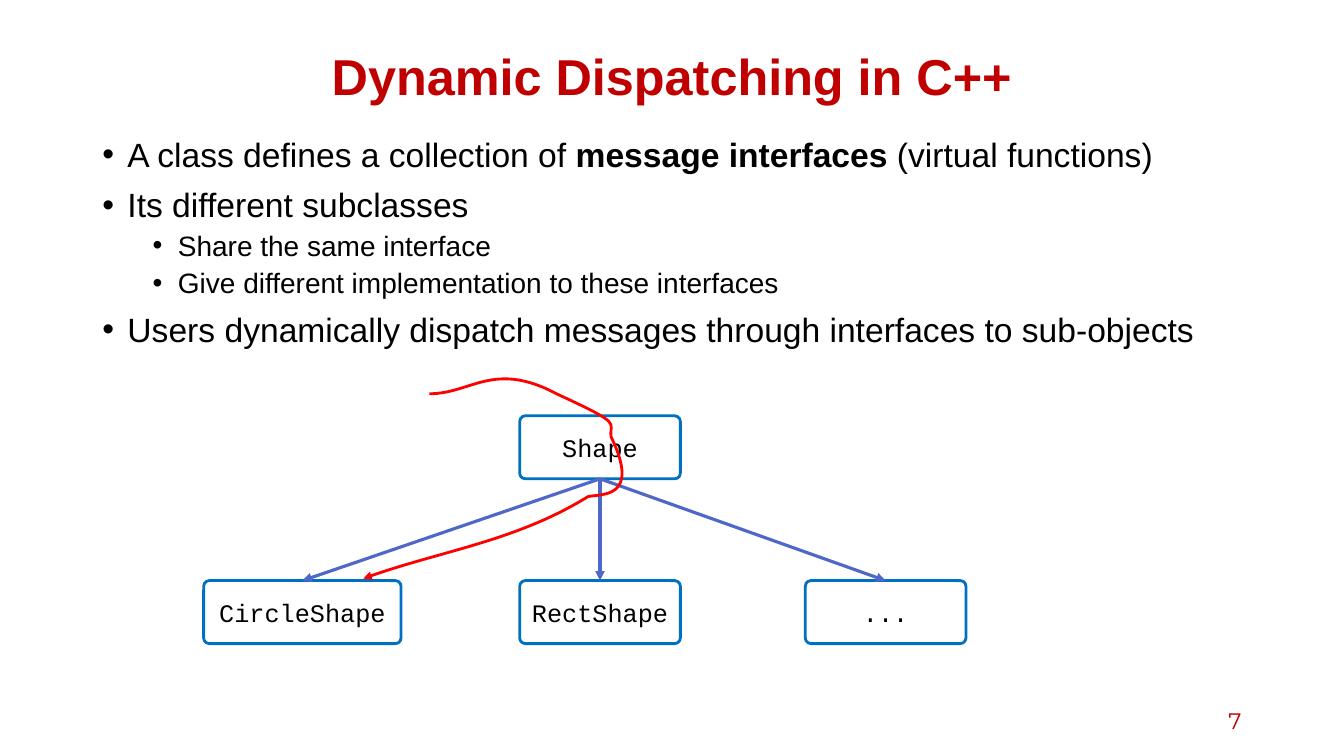
"""Build a slide on dynamic dispatching with a class hierarchy diagram."""
from dataclasses import dataclass

from lxml.etree import SubElement
from pptx import Presentation
from pptx.dml.color import RGBColor
from pptx.enum.shapes import MSO_CONNECTOR, MSO_SHAPE
from pptx.enum.text import MSO_ANCHOR, PP_ALIGN
from pptx.oxml.ns import qn
from pptx.shapes.autoshape import Shape
from pptx.shapes.connector import Connector
from pptx.slide import Slide
from pptx.text.text import Font, TextFrame, _Paragraph
from pptx.util import Emu, Pt

EMU_PER_PX = 9525
BLACK = RGBColor(0x00, 0x00, 0x00)
WHITE = RGBColor(0xFF, 0xFF, 0xFF)
DARK_RED = RGBColor(0xC0, 0x00, 0x00)
RED = RGBColor(0xFF, 0x00, 0x00)
BOX_BLUE = RGBColor(0x00, 0x70, 0xC0)
ARROW_BLUE = RGBColor(0x4E, 0x67, 0xC8)
BOX_HEIGHT = 60
BOTTOM_SITE, TOP_SITE = 2, 0

Point = tuple[int, int]


@dataclass(frozen=True)
class Label:
    """A single-line text with its place and look."""
    text: str
    left: int
    top: int
    width: int
    height: int
    font: str
    size: int
    align: PP_ALIGN
    bold: bool = False


@dataclass(frozen=True)
class Bullet:
    """A bullet made of (text, bold) phrases."""
    phrases: tuple[tuple[str, bool], ...]
    level: int = 0


@dataclass(frozen=True)
class ClassBox:
    """A class in the hierarchy."""
    name: str
    left: int
    top: int
    width: int = 153


LABELS = (
    Label("Dynamic Dispatching in C++", 88, 38, 1104, 67, "Arial", 36, PP_ALIGN.CENTER, True),
    Label("7", 904, 667, 288, 38, "Montserrat", 16, PP_ALIGN.RIGHT),
)
BULLETS = (
    Bullet((("A class defines a collection of ", False),
            ("message interfaces ", True),
            ("(virtual functions)", False))),
    Bullet((("Its different subclasses", False),)),
    Bullet((("Share the same interface", False),), 1),
    Bullet((("Give different implementation to these interfaces", False),), 1),
    Bullet((("Users dynamically dispatch messages through interfaces to sub-objects", False),)),
)
BASE_CLASS = ClassBox("Shape", 495, 396)
SUBCLASSES = (
    ClassBox("CircleShape", 194, 553, 188),
    ClassBox("RectShape", 495, 553),
    ClassBox("...", 767, 553),
)
DISPATCH_START: Point = (409, 375)
DISPATCH_CURVES: tuple[tuple[Point, Point, Point], ...] = (
    ((449, 375), (470, 343), (530, 375)),
    ((595, 405), (580, 401), (582, 416)),
    ((611, 476), (572, 470), (560, 473)),
    ((492, 515), (417, 525), (346, 551)),
)


def px(length: int) -> Emu:
    """Turn pixels into EMU."""
    return Emu(length * EMU_PER_PX)


def style_font(font: Font, name: str, size: int, color: RGBColor, bold: bool = False) -> None:
    """Set the look of a font."""
    font.name, font.size, font.bold = name, Pt(size), bold
    font.color.rgb = color


def add_text_frame(slide: Slide, left: int, top: int, width: int, height: int) -> TextFrame:
    """Add a wrapping text box and return its text frame."""
    box = slide.shapes.add_textbox(px(left), px(top), px(width), px(height))
    box.text_frame.word_wrap = True
    return box.text_frame


def add_label(slide: Slide, label: Label) -> None:
    """Add a vertically centred label."""
    frame = add_text_frame(slide, label.left, label.top, label.width, label.height)
    frame.vertical_anchor = MSO_ANCHOR.MIDDLE
    frame.text = label.text
    paragraph = frame.paragraphs[0]
    paragraph.alignment = label.align
    style_font(paragraph.runs[0].font, label.font, label.size, DARK_RED, label.bold)


def fill_bullet(paragraph: _Paragraph, bullet: Bullet) -> None:
    """Write one bullet into a paragraph."""
    paragraph.level = bullet.level
    paragraph.line_spacing = 0.9
    paragraph.space_before = Pt(5 if bullet.level else 10)
    properties = paragraph._p.get_or_add_pPr()
    properties.set("marL", str(px(24 + 48 * bullet.level)))
    properties.set("indent", str(px(-24)))
    SubElement(properties, qn("a:buFont")).set("typeface", "Arial")
    SubElement(properties, qn("a:buChar")).set("char", "•")
    for text, bold in bullet.phrases:
        run = paragraph.add_run()
        run.text = text
        style_font(run.font, "Arial", 20 if bullet.level else 24, BLACK, bold)


def add_bullets(slide: Slide) -> None:
    """Add the bullet list."""
    frame = add_text_frame(slide, 88, 127, 1104, 529)
    for index, bullet in enumerate(BULLETS):
        fill_bullet(frame.add_paragraph() if index else frame.paragraphs[0], bullet)


def add_class_box(slide: Slide, box: ClassBox) -> Shape:
    """Add a rounded box naming a class."""
    shape = slide.shapes.add_shape(MSO_SHAPE.ROUNDED_RECTANGLE, px(box.left), px(box.top),
                                   px(box.width), px(BOX_HEIGHT))
    shape.adjustments[0] = 0.09
    shape.shadow.inherit = False
    shape.fill.solid()
    shape.fill.fore_color.rgb = WHITE
    shape.line.color.rgb = BOX_BLUE
    shape.line.width = Pt(2)
    frame = shape.text_frame
    frame.word_wrap = False
    frame.vertical_anchor = MSO_ANCHOR.MIDDLE
    frame.text = box.name
    paragraph = frame.paragraphs[0]
    paragraph.alignment = PP_ALIGN.CENTER
    style_font(paragraph.runs[0].font, "Courier New", 18, BLACK)
    return shape


def style_arrow(arrow: Shape | Connector, color: RGBColor, width: float) -> None:
    """Colour a line and put an arrowhead at its end."""
    arrow.line.color.rgb = color
    arrow.line.width = Pt(width)
    outline = arrow.element.spPr.find(qn("a:ln"))
    SubElement(outline, qn("a:tailEnd")).set("type", "triangle")


def connect(slide: Slide, parent: Shape, child: Shape) -> None:
    """Draw an arrow from a class to its subclass."""
    connector = slide.shapes.add_connector(MSO_CONNECTOR.STRAIGHT, 0, 0, 0, 0)
    connector.begin_connect(parent, BOTTOM_SITE)
    connector.end_connect(child, TOP_SITE)
    style_arrow(connector, ARROW_BLUE, 2.25)
    SubElement(connector.element.spPr, qn("a:effectLst"))


def add_dispatch_curve(slide: Slide) -> None:
    """Draw the curved arrow that a dispatched message follows."""
    anchors = [DISPATCH_START, *(curve[-1] for curve in DISPATCH_CURVES)]
    builder = slide.shapes.build_freeform(*DISPATCH_START, scale=EMU_PER_PX)
    builder.add_line_segments(anchors[1:], close=False)
    shape = builder.convert_to_shape()
    left, top = (min(values) for values in zip(*anchors))
    segments = list(shape.element.spPr.iter(qn("a:lnTo")))
    for segment, curve in zip(segments, DISPATCH_CURVES):
        outline = segment.getparent()
        bezier = SubElement(outline, qn("a:cubicBezTo"))
        outline.remove(segment)
        for x, y in curve:
            SubElement(bezier, qn("a:pt"), x=str(x - left), y=str(y - top))
    shape.fill.background()
    shape.shadow.inherit = False
    style_arrow(shape, RED, 2)


def main() -> None:
    """Build and save the slide."""
    presentation = Presentation()
    presentation.slide_width, presentation.slide_height = px(1280), px(720)
    slide = presentation.slides.add_slide(presentation.slide_layouts[6])
    for label in LABELS:
        add_label(slide, label)
    add_bullets(slide)
    parent = add_class_box(slide, BASE_CLASS)
    children = [add_class_box(slide, box) for box in SUBCLASSES]
    for child in children:
        connect(slide, parent, child)
    add_dispatch_curve(slide)
    presentation.save("out.pptx")


if __name__ == "__main__":
    main()
